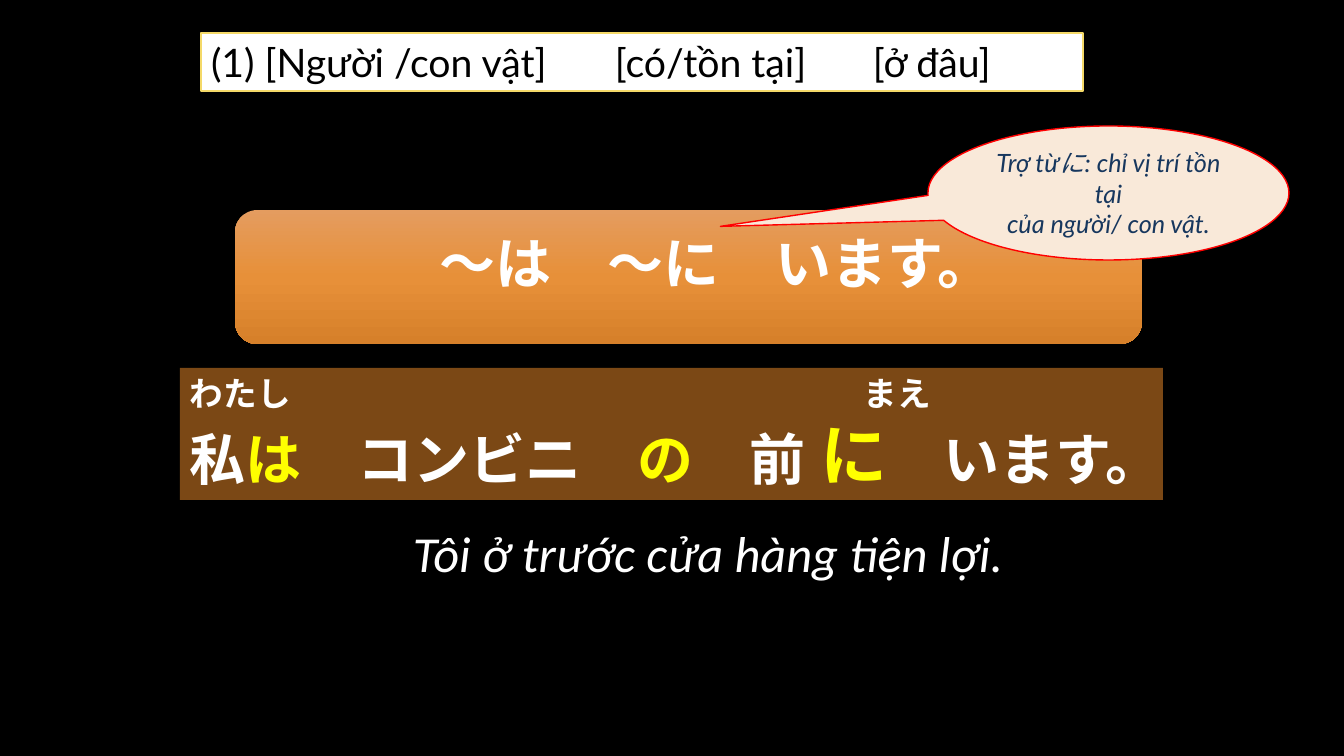
from copy import deepcopy

from lxml import etree
from pptx import Presentation
from pptx import util as u
from pptx.dml.color import RGBColor
from pptx.enum import shapes, text
from pptx.oxml import ns

COLORS = {
    "black": "000000", "white": "FFFFFF", "yellow": "FFFF00", "navy": "17375E",
    "cream": "F9E9D9", "red": "FF0000", "gold": "F4D968", "brown": "7B4815",
}
PATTERN_GRADIENT = [(0, "E49C5F"), (0.5, "E79039"), (1, "D6802A")]
LATO, CALIBRI = "Lato", "Calibri"
CJK_SC, CJK_JP = "Noto Sans CJK SC", "Noto Sans CJK JP"
LEFT, CENTER = text.PP_ALIGN.LEFT, text.PP_ALIGN.CENTER
TOP, MIDDLE = text.MSO_ANCHOR.TOP, text.MSO_ANCHOR.MIDDLE
SHAPE = shapes.MSO_SHAPE

# A paragraph is a list of runs: (text, size, color)
HEADING = [[("(1) [Người /con vật]\t[có/tồn tại]\t[ở đâu]", 28, "black")]]
PATTERN = [[("～は　～に　います。", 40, "white")]]
PARTICLE_NOTE = [
    [("Trợ từに: chỉ vị trí tồn tại", 18, "navy")],
    [("của người/ con vật.", 18, "navy")],
]
EXAMPLE = [
    [("わたし\tまえ", 24, "white")],
    [("私", 40, "white"), ("は　", 40, "yellow"), ("コンビニ　", 40, "white"),
     ("の", 40, "yellow"), ("　前", 40, "white"), (" に", 48, "yellow"),
     ("　います。", 40, "white")],
]
TRANSLATION = [[("Tôi ở trước cửa hàng tiện lợi.", 36, "white")]]

# Boxes in px: left, top, width, height
HEADING_BOX = (201, 33, 882, 58)
PATTERN_BOX = (235, 210, 907, 134)
NOTE_BOX = (928, 126, 361, 134)
EXAMPLE_BOX = (180, 368, 983, 132)
TRANSLATION_BOX = (403, 524, 627, 66)
HEADING_TABS = (404, 662)
FURIGANA_TABS = (674,)
INSETS = (10, 5, 10, 5)
PATTERN_INSETS = (66, 5, 10, 35)


def px(length):
    return u.Emu(round(length * 914400 / 100.8))


def rgb(name):
    return RGBColor.from_string(COLORS[name])


def place(shape, box):
    for side, length in zip(("left", "top", "width", "height"), box):
        setattr(shape, side, px(length))


def paint(shape, fill=None, line=None):
    if fill:
        shape.fill.solid()
        shape.fill.fore_color.rgb = rgb(fill)
    if line:
        shape.line.color.rgb = rgb(line)
        shape.line.width = u.Pt(1)
    else:
        shape.line.fill.background()


def add_tabs(paragraph, stops):
    properties = paragraph._p.get_or_add_pPr()
    tabs = etree.SubElement(properties, ns.qn("a:tabLst"))
    for stop in stops:
        etree.SubElement(tabs, ns.qn("a:tab"), pos=str(px(stop)), algn="l")


def write(shape, paragraphs, font, align=LEFT, anchor=TOP, insets=INSETS,
          wrap=True, tabs=(), spacing=1, **style):
    """Fill the shape with runs; tabs apply to its first paragraph."""
    frame = shape.text_frame
    sides = ("margin_left", "margin_top", "margin_right", "margin_bottom")
    settings = dict(zip(sides, map(px, insets)))
    settings.update(word_wrap=wrap, vertical_anchor=anchor,
                    auto_size=text.MSO_AUTO_SIZE.NONE)
    for name, value in settings.items():
        setattr(frame, name, value)
    for index, runs in enumerate(paragraphs):
        paragraph = frame.add_paragraph() if index else frame.paragraphs[0]
        paragraph.alignment = align
        paragraph.line_spacing = spacing
        if tabs and index == 0:
            add_tabs(paragraph, tabs)
        for words, size, color in runs:
            run = paragraph.add_run()
            run.text = words
            for name, value in dict(style, name=font, size=u.Pt(size)).items():
                setattr(run.font, name, value)
            run.font.color.rgb = rgb(color)
            if font in (CJK_SC, CJK_JP):
                etree.SubElement(run.font._element, ns.qn("a:ea"), typeface=font)


def add_box(slide, kind, box):
    shape = slide.shapes.add_shape(kind, *map(px, box))
    shape.shadow.inherit = False
    return shape


def fill_gradient(shape, stops):
    shape.fill.gradient()
    shape.fill.gradient_angle = 270
    stop_list = shape._element.spPr.find(".//" + ns.qn("a:gsLst"))
    stop_list.append(deepcopy(stop_list[0]))
    for stop, (position, color) in zip(shape.fill.gradient_stops, stops):
        stop.position = position
        stop.color.rgb = RGBColor.from_string(color)


def main():
    presentation = Presentation()
    presentation.slide_width, presentation.slide_height = px(1344), px(756)
    slide = presentation.slides.add_slide(presentation.slide_layouts[5])
    slide.background.fill.solid()
    slide.background.fill.fore_color.rgb = rgb("black")

    heading = slide.shapes.title
    place(heading, HEADING_BOX)
    paint(heading, "white", "gold")
    write(heading, HEADING, LATO, tabs=HEADING_TABS)

    pattern = add_box(slide, SHAPE.ROUNDED_RECTANGLE, PATTERN_BOX)
    fill_gradient(pattern, PATTERN_GRADIENT)
    paint(pattern)
    write(pattern, PATTERN, CJK_SC, CENTER, MIDDLE, PATTERN_INSETS, bold=True)

    note = add_box(slide, SHAPE.OVAL_CALLOUT, NOTE_BOX)
    note.adjustments[0], note.adjustments[1] = -1.075, 0.249
    paint(note, "cream", "red")
    write(note, PARTICLE_NOTE, LATO, CENTER, MIDDLE, italic=True)

    example = add_box(slide, SHAPE.RECTANGLE, EXAMPLE_BOX)
    paint(example, "brown")
    write(example, EXAMPLE, CJK_JP, tabs=FURIGANA_TABS, bold=True)

    translation = slide.shapes.add_textbox(*map(px, TRANSLATION_BOX))
    write(translation, TRANSLATION, CALIBRI, wrap=False, spacing=0.9, italic=True)

    presentation.save("out.pptx")


if __name__ == "__main__":
    main()
